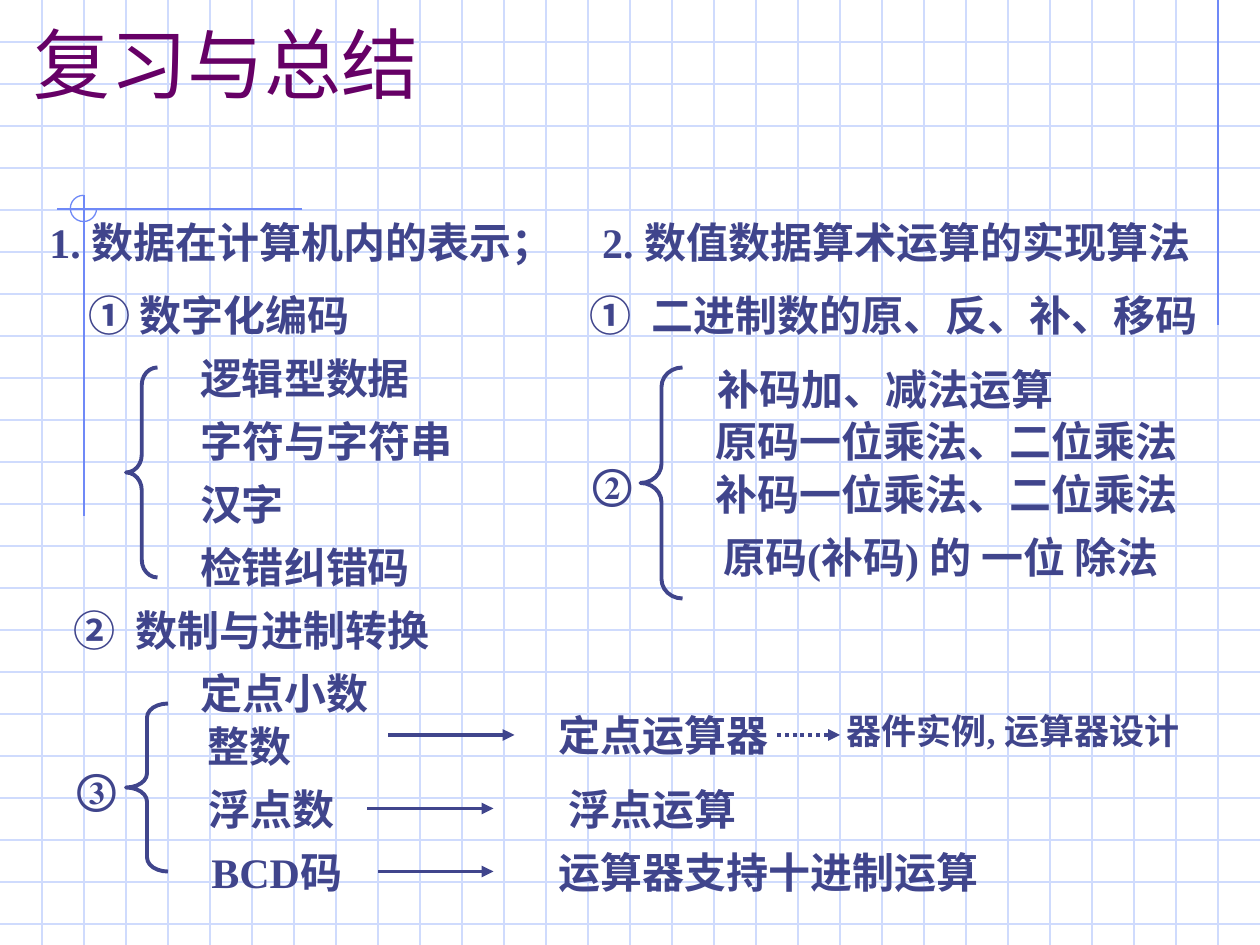
from dataclasses import dataclass

from lxml import etree
from pptx import Presentation
from pptx.dml.color import RGBColor
from pptx.enum.dml import MSO_LINE
from pptx.enum.shapes import MSO_CONNECTOR, MSO_SHAPE
from pptx.enum.text import MSO_ANCHOR, MSO_AUTO_SIZE, PP_ALIGN
from pptx.oxml.ns import qn
from pptx.util import Pt

STRAIGHT = MSO_CONNECTOR.STRAIGHT
LEFT_BRACE, ARC = MSO_SHAPE.LEFT_BRACE, MSO_SHAPE.ARC
DOTTED = MSO_LINE.ROUND_DOT
LEFT, CENTER = PP_ALIGN.LEFT, PP_ALIGN.CENTER
MIDDLE, BOTTOM = MSO_ANCHOR.MIDDLE, MSO_ANCHOR.BOTTOM
GROW = MSO_AUTO_SIZE.SHAPE_TO_FIT_TEXT
TITLE_ONLY = 5
PX = 7620
WIDTH, HEIGHT, CELL, ROW = 1200, 900, 40, 60
NUMBER_TAB = 59
SNUG_INSET = 6


@dataclass(frozen=True)
class Theme:
    title: RGBColor = RGBColor(0x66, 0x00, 0x66)
    ink: RGBColor = RGBColor(0x40, 0x45, 0x8C)
    grid: RGBColor = RGBColor(0xCF, 0xDB, 0xFD)
    accent: RGBColor = RGBColor(0x6F, 0x89, 0xF7)
    title_font: str = "Arial"
    body_font: str = "Times New Roman"
    title_size: int = 44
    body_size: int = 24
    note_size: int = 20
    hairline: float = 0.75
    stroke: float = 2.25


THEME = Theme()


def emu(*lengths):
    return [length * PX for length in lengths]


def style_line(shape, color, width):
    shape.line.color.rgb = color
    shape.line.width = Pt(width)


def style_font(paragraph, name, size, color, bold):
    for run in paragraph.runs:
        run.font.name = name
        run.font.size = Pt(size)
        run.font.bold = bold
        run.font.color.rgb = color


def add_line(slide, start, end, color, width):
    line = slide.shapes.add_connector(STRAIGHT, *emu(*start, *end))
    style_line(line, color, width)
    etree.SubElement(line._element.spPr, qn("a:effectLst"))
    return line


def add_arrow(slide, origin, x1, x2, y, dotted=False):
    left, top = origin
    arrow = add_line(slide, (left + x1, top + y), (left + x2, top + y),
                     THEME.ink, THEME.stroke)
    if dotted:
        arrow.line.dash_style = DOTTED
    etree.SubElement(arrow.line._get_or_add_ln(), qn("a:tailEnd"), type="triangle")


def add_outline(slide, preset, box, color, width):
    outline = slide.shapes.add_shape(preset, *emu(*box))
    outline.shadow.inherit = False
    outline.fill.background()
    style_line(outline, color, width)
    return outline


def add_brace(slide, origin, x, y, width, height):
    box = (origin[0] + x, origin[1] + y, width, height)
    brace = add_outline(slide, LEFT_BRACE, box, THEME.ink, THEME.stroke)
    brace.adjustments[0] = height / (12 * width)


def add_label(slide, origin, text, x, y, width, height=ROW,
              align=CENTER, wrap=False, size=THEME.body_size):
    label = slide.shapes.add_textbox(*emu(origin[0] + x, origin[1] + y, width, height))
    frame = label.text_frame
    frame.text = text
    frame.word_wrap = wrap
    frame.auto_size = GROW
    frame.vertical_anchor = MIDDLE
    if not wrap:
        frame.margin_left = frame.margin_right = SNUG_INSET * PX
    paragraph = frame.paragraphs[0]
    paragraph.alignment = align
    if "\t" in text:
        stops = etree.SubElement(paragraph._p.get_or_add_pPr(), qn("a:tabLst"))
        etree.SubElement(stops, qn("a:tab"), pos=str(NUMBER_TAB * PX), algn="l")
    style_font(paragraph, THEME.body_font, size, THEME.ink, True)


def add_numbered(slide, origin, text, x, y, width):
    add_label(slide, origin, text, x, y, width, align=LEFT, wrap=True)


def draw_backdrop(slide):
    for y in range(CELL, HEIGHT, CELL):
        add_line(slide, (0, y), (WIDTH, y), THEME.grid, THEME.hairline)
    for x in range(CELL, WIDTH, CELL):
        add_line(slide, (x, 0), (x, HEIGHT), THEME.grid, THEME.hairline)
    for start, end in (((1160, 0), (1160, 310)),
                       ((288, 199), (54, 199)),
                       ((80, 186), (80, 491))):
        add_line(slide, start, end, THEME.accent, THEME.hairline)
    ring = add_outline(slide, ARC, (67, 186, 25, 25), THEME.accent, THEME.hairline)
    ring.adjustments[0] = 0
    ring.adjustments[1] = 162


def place_title(slide, box):
    title = slide.shapes.title
    slide.shapes._spTree.append(title._element)
    title.left, title.top, title.width, title.height = emu(*box)
    frame = title.text_frame
    frame.text = "复习与总结"
    frame.vertical_anchor = BOTTOM
    frame.paragraphs[0].alignment = LEFT
    style_font(frame.paragraphs[0], THEME.title_font, THEME.title_size, THEME.title, False)


def draw_representation(slide, origin):
    add_label(slide, origin, "1. 数据在计算机内的表示；", 0, 0, 514)
    add_numbered(slide, origin, "① 数字化编码", 42, 70, 409)
    kinds = (("逻辑型数据", 223), ("字符与字符串", 264), ("汉字", 103), ("检错纠错码", 223))
    for index, (kind, width) in enumerate(kinds):
        add_label(slide, origin, kind, 149, 130 + index * ROW, width)
    add_brace(slide, origin, 90, 150, 30, 200)
    add_numbered(slide, origin, "②\t数制与进制转换", 28, 370, 380)


def draw_algorithms(slide, origin):
    add_label(slide, origin, "2. 数值数据算术运算的实现算法", 7, 0, 593)
    add_numbered(slide, origin, "①\t二进制数的原、反、补、移码", 0, 70, 610)
    add_label(slide, origin, "②", 1, 230, 64)
    add_brace(slide, origin, 60, 150, 40, 220)
    for method, x, y, width in (("补码加、减法运算", 122, 140, 343),
                                ("原码一位乘法、二位乘法", 120, 190, 463),
                                ("补码一位乘法、二位乘法", 120, 240, 463),
                                ("原码(补码) 的 一位 除法", 108, 300, 476)):
        add_label(slide, origin, method, x, y, width)


def draw_units(slide, origin):
    add_label(slide, origin, "③", 0, 90, 64)
    add_brace(slide, origin, 60, 40, 40, 160)
    for text, x, y, width in (("定点小数", 119, 0, 184),
                              ("整数", 126, 50, 103),
                              ("浮点数", 97, 110, 203),
                              ("BCD码", 125, 170, 157),
                              ("定点运算器", 460, 40, 223),
                              ("运算器支持十进制运算", 460, 170, 424)):
        add_label(slide, origin, text, x, y, width)
    add_label(slide, origin, "浮点运算", 470, 110, 410, align=LEFT, wrap=True)
    add_label(slide, origin, "器件实例, 运算器设计", 730, 20, 350, 92,
              wrap=True, size=THEME.note_size)
    for x1, x2, y in ((310, 430, 70), (290, 410, 140), (300, 410, 200)):
        add_arrow(slide, origin, x1, x2, y)
    add_arrow(slide, origin, 680, 740, 70, dotted=True)


def main():
    deck = Presentation()
    deck.slide_width, deck.slide_height = emu(WIDTH, HEIGHT)
    slide = deck.slides.add_slide(deck.slide_layouts[TITLE_ONLY])
    draw_backdrop(slide)
    place_title(slide, (20, 20, 1020, 90))
    draw_representation(slide, (30, 200))
    draw_algorithms(slide, (550, 200))
    draw_units(slide, (60, 630))
    deck.save("out.pptx")


if __name__ == "__main__":
    main()
